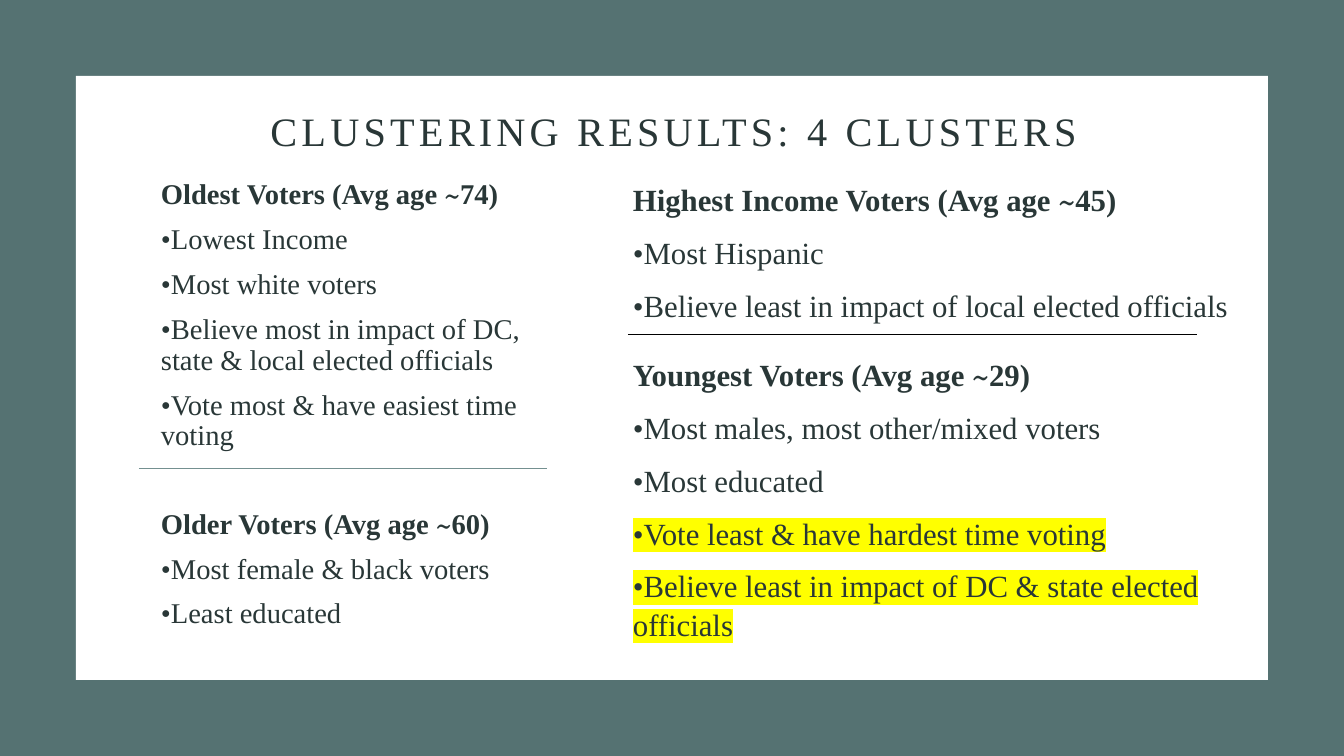
from lxml import etree
from pptx import Presentation
from pptx.dml.color import RGBColor
from pptx.enum.shapes import MSO_CONNECTOR, MSO_SHAPE
from pptx.enum.text import MSO_ANCHOR, PP_ALIGN
from pptx.oxml.ns import qn
from pptx.util import Pt

RECTANGLE = MSO_SHAPE.RECTANGLE
STRAIGHT = MSO_CONNECTOR.STRAIGHT
TOP, BOTTOM = MSO_ANCHOR.TOP, MSO_ANCHOR.BOTTOM
LEFT, CENTER = PP_ALIGN.LEFT, PP_ALIGN.CENTER

EMU_PER_INCH = 914400
PX_PER_INCH = 100.8
WIDTH, HEIGHT = 1344, 756

OLDER_CLUSTERS = [
    ("Oldest Voters (Avg age ~74)", {"bold": True}),
    ("•Lowest Income", {}),
    ("•Most white voters", {}),
    ("•Believe most in impact of DC, state & local elected officials", {}),
    ("•Vote most & have easiest time voting", {}),
    ("Older Voters (Avg age ~60)", {"bold": True, "before": 41}),
    ("•Most female & black voters", {}),
    ("•Least educated", {}),
]
YOUNGER_CLUSTERS = [
    ("Highest Income Voters (Avg age ~45)", {"bold": True}),
    ("•Most Hispanic", {}),
    ("•Believe least in impact of local elected officials", {"after": 12}),
    ("Youngest Voters (Avg age ~29)", {"bold": True}),
    ("•Most males, most other/mixed voters", {}),
    ("•Most educated", {}),
    ("•Vote least & have hardest time voting", {"highlight": "FFFF00"}),
    ("•Believe least in impact of DC & state elected officials", {"highlight": "FFFF00"}),
]


def px(length):
    return round(length * EMU_PER_INCH / PX_PER_INCH)


def color(hex_code):
    return RGBColor.from_string(hex_code)


def write(paragraph, text, size=20, bold=False, before=10, after=0, leading=1.0,
          align=LEFT, tracking=0, highlight=None, ink="293737",
          font="Times New Roman", tilde_font="Vollkorn"):
    paragraph.alignment = align
    paragraph.line_spacing = leading
    paragraph.space_before = Pt(before)
    paragraph.space_after = Pt(after)
    opening, tilde, ending = text.partition("~")
    for part, face in ((opening, font), (tilde, tilde_font), (ending, font)):
        if not part:
            continue
        run = paragraph.add_run()
        run.text = part
        run.font.size = Pt(size)
        run.font.bold = bold
        run.font.color.rgb = color(ink)
        run.font.name = face
        properties = run.font._element
        if tracking:
            properties.set("spc", str(tracking * 100))
        if highlight:
            marker = etree.Element(qn("a:highlight"))
            etree.SubElement(marker, qn("a:srgbClr"), val=highlight)
            properties.find(qn("a:solidFill")).addnext(marker)


class ClusterSlide:
    def __init__(self, presentation):
        self.slide = presentation.slides.add_slide(presentation.slide_layouts[6])
        self.rule_width = Pt(0.5)

    def panel(self, left, top, width, height, fill):
        panel = self.slide.shapes.add_shape(
            RECTANGLE, px(left), px(top), px(width), px(height))
        panel.shadow.inherit = False
        panel.fill.solid()
        panel.fill.fore_color.rgb = color(fill)
        panel.line.fill.background()

    def text(self, left, top, width, height, lines, anchor=TOP, **style):
        box = self.slide.shapes.add_textbox(px(left), px(top), px(width), px(height))
        frame = box.text_frame
        frame.word_wrap = True
        frame.vertical_anchor = anchor
        for index, (line, emphasis) in enumerate(lines):
            paragraph = frame.add_paragraph() if index else frame.paragraphs[0]
            write(paragraph, line, **{**style, **emphasis})

    def rule(self, left, right, y, stroke):
        rule = self.slide.shapes.add_connector(
            STRAIGHT, px(left), px(y), px(right), px(y))
        rule.line.color.rgb = color(stroke)
        rule.line.width = self.rule_width
        etree.SubElement(rule._element.spPr, qn("a:effectLst"))


def main():
    presentation = Presentation()
    presentation.slide_width = px(WIDTH)
    presentation.slide_height = px(HEIGHT)
    clusters = ClusterSlide(presentation)
    margin = 76
    clusters.panel(0, 0, WIDTH, HEIGHT, "557272")
    clusters.panel(margin, margin, WIDTH - 2 * margin, HEIGHT - 2 * margin, "FFFFFF")
    clusters.text(151, 111, 1046, 49, [("CLUSTERING RESULTS: 4 CLUSTERS", {})],
                  anchor=BOTTOM, size=28.8, leading=0.9, before=0,
                  align=CENTER, tracking=3)
    clusters.text(151, 175, 418, 457, OLDER_CLUSTERS, size=20.4, leading=0.9)
    clusters.text(623, 174, 679, 459, YOUNGER_CLUSTERS, size=22, leading=1.05)
    clusters.rule(628, 1197, 334, "000000")
    clusters.rule(139, 547, 468, "749090")
    presentation.save("out.pptx")


if __name__ == "__main__":
    main()
